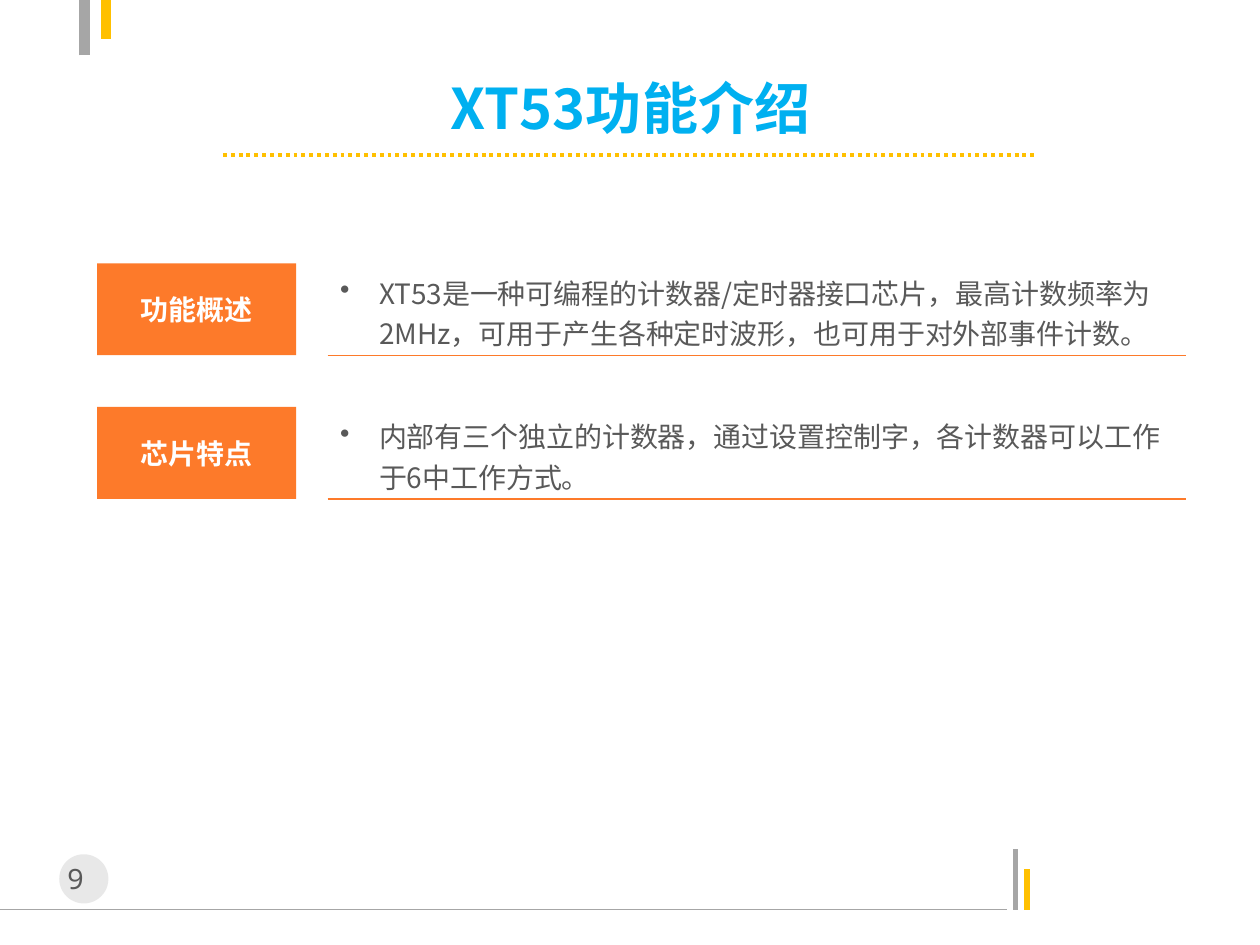
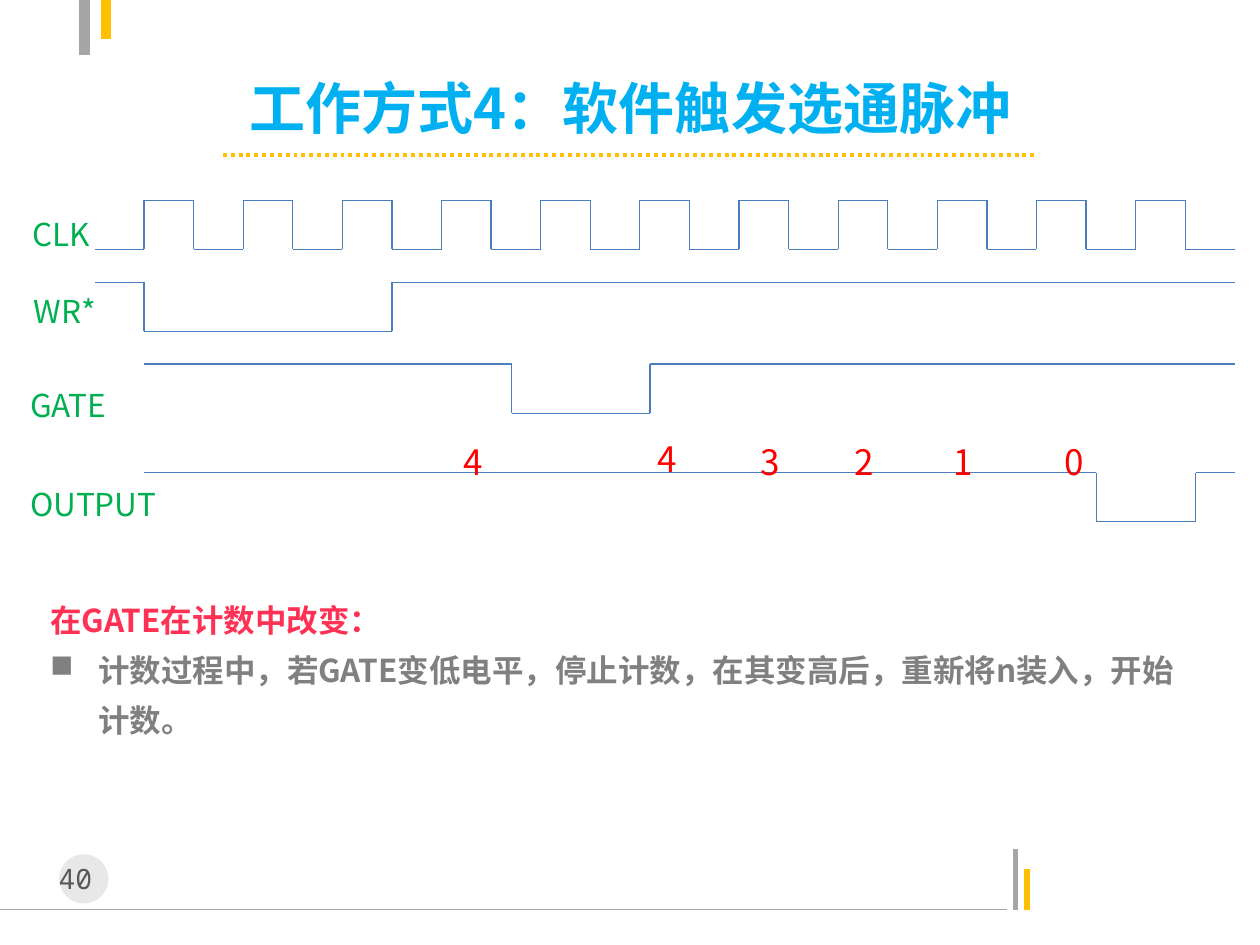
"""Build two slides on the XT53 timer chip: its features and its mode 4 timing."""
import itertools

import lxml.etree
import pptx
import pptx.dml.color
import pptx.enum.dml
import pptx.enum.shapes
import pptx.enum.text
import pptx.oxml.ns
import pptx.util

Inches = pptx.util.Inches
Pt = pptx.util.Pt
ALIGN = pptx.enum.text.PP_ALIGN
ANCHOR = pptx.enum.text.MSO_ANCHOR
FIT = pptx.enum.text.MSO_AUTO_SIZE
SHAPE = pptx.enum.shapes.MSO_SHAPE
DOTS = pptx.enum.dml.MSO_LINE.ROUND_DOT

SANS = "Noto Sans CJK SC"
MONO = "Noto Sans Mono"
GRAY, GOLD, ORANGE, BLUE = "A6A6A6", "FFC000", "FD7A2A", "4B7EBC"

TITLE = {"size": Pt(32), "bold": True, "name": SANS, "color": "00B0F0"}
PAGE = {"size": Pt(16), "bold": False, "name": MONO, "color": "595959"}
TAG = {"size": Pt(16), "bold": True, "name": SANS, "color": "FFFFFF"}
BODY = {"size": Pt(16), "bold": False, "name": SANS, "color": "595959"}
SIGNAL = {"size": Pt(18), "bold": False, "name": SANS, "color": "00B050"}
COUNT = {"size": Pt(20), "bold": False, "name": SANS, "color": "FF0000"}
HEAD = {"size": Pt(18), "bold": True, "name": SANS, "color": "FF3255"}
NOTE = {**HEAD, "color": "808080"}

FRAME_LINES = [
    (0, 7.22, 7.99, 7.22, GRAY, 0.75),
    (8.06, 7.22, 8.06, 6.74, GRAY, 3),
    (8.15, 7.22, 8.15, 6.9, GOLD, 3),
    (0.67, 0.44, 0.67, 0, GRAY, 6),
    (0.84, 0, 0.84, 0.31, GOLD, 6),
]
START, END, CYCLES = 0.75, 9.8, 23
PULSE = 0.39


def rgb(code):
    return pptx.dml.color.RGBColor.from_string(code)


def add_tag(parent, name, **values):
    node = lxml.etree.SubElement(parent, pptx.oxml.ns.qn(name))
    for key, value in values.items():
        node.set(key, str(value))
    return node


def set_font(run, style):
    for key, value in style.items():
        if key == "color":
            run.font.color.rgb = rgb(value)
        else:
            setattr(run.font, key, value)
    add_tag(run.font._element, "a:ea", typeface=style["name"])


def write(para, text, style, align=ALIGN.LEFT, space=1.0, bullet=None, indent=0):
    if bullet:
        props = para._p.get_or_add_pPr()
        props.set("marL", str(Inches(indent)))
        props.set("indent", str(-Inches(indent)))
        add_tag(props, "a:buChar", char=bullet)
    para.alignment = align
    para.line_spacing = space
    run = para.add_run()
    run.text = text
    set_font(run, style)


def add_line(slide, x1, y1, x2, y2, color, width, dash=None):
    ends = [Inches(v) for v in (x1, y1, x2, y2)]
    link = slide.shapes.add_connector(pptx.enum.shapes.MSO_CONNECTOR.STRAIGHT, *ends)
    link.line.color.rgb = rgb(color)
    link.line.width = Pt(width)
    if dash:
        link.line.dash_style = dash
    add_tag(link._element.spPr, "a:effectLst")


def add_block(slide, kind, box, color):
    block = slide.shapes.add_shape(kind, *[Inches(v) for v in box])
    block.shadow.inherit = False
    block.fill.solid()
    block.fill.fore_color.rgb = rgb(color)
    block.line.fill.background()
    return block


def add_text(slide, box, text, style, **look):
    frame = slide.shapes.add_textbox(*[Inches(v) for v in box]).text_frame
    frame.word_wrap = True
    frame.auto_size = FIT.SHAPE_TO_FIT_TEXT
    write(frame.paragraphs[0], text, style, **look)
    return frame


def add_title(slide, text):
    title = slide.shapes.title
    place = {"left": 1.38, "top": 0.6, "width": 7.25, "height": 0.5}
    for key, value in place.items():
        setattr(title, key, Inches(value))
    frame = title.text_frame
    look = {"word_wrap": False, "auto_size": FIT.NONE, "vertical_anchor": ANCHOR.MIDDLE}
    for key, value in look.items():
        setattr(frame, key, value)
    write(frame.paragraphs[0], text, TITLE, ALIGN.CENTER)
    add_line(slide, 1.77, 1.23, 8.23, 1.23, GOLD, 2.25, DOTS)


def add_slide(deck, title, number):
    slide = deck.slides.add_slide(deck.slide_layouts[5])
    for line in FRAME_LINES:
        add_line(slide, *line)
    disc = add_block(slide, SHAPE.OVAL, (0.47, 6.78, 0.39, 0.39), "BFBFBF")
    tint = disc.fill._xPr.find(".//" + pptx.oxml.ns.qn("a:srgbClr"))
    add_tag(tint, "a:alpha", val=35000)
    add_text(slide, (0.31, 6.79, 0.71, 0.37), f"{number} ", PAGE, align=ALIGN.CENTER)
    add_title(slide, title)
    return slide


def add_point(slide, top, label, text):
    block = add_block(slide, SHAPE.RECTANGLE, (0.77, top, 1.58, 0.73), ORANGE)
    block.text_frame.vertical_anchor = ANCHOR.MIDDLE
    write(block.text_frame.paragraphs[0], label, TAG, ALIGN.CENTER)
    add_text(slide, (2.6, top, 6.81, 0.75), text, BODY, space=1.2, bullet="•", indent=0.31)
    base = top + 0.73
    add_line(slide, 2.6, base, 9.41, base, ORANGE, 0.75)


def add_wave(slide, edges, high, level):
    """Draw a signal that flips between high (0) and low (1) at each inner edge."""
    spots = []
    for left, right in itertools.pairwise(edges):
        y = high + PULSE * level
        spots += [(left, y), (right, y)]
        level = 1 - level
    for first, second in itertools.pairwise(spots):
        add_line(slide, *first, *second, BLUE, 0.75)


def main():
    deck = pptx.Presentation()
    deck.slide_width, deck.slide_height = Inches(10), Inches(7.5)

    chip = add_slide(deck, "XT53功能介绍", 9)
    add_point(chip, 2.09, "功能概述",
              "XT53是一种可编程的计数器/定时器接口芯片，最高计数频率为2MHz，"
              "可用于产生各种定时波形，也可用于对外部事件计数。")
    add_point(chip, 3.23, "芯片特点",
              "内部有三个独立的计数器，通过设置控制字，各计数器可以工作于6中工作方式。")

    mode = add_slide(deck, "工作方式4：软件触发选通脉冲", 40)
    step = (END - START) / CYCLES
    clock = [START + step * i for i in range(CYCLES + 1)]
    add_wave(mode, clock, 1.59, 1)
    add_wave(mode, [START, clock[1], clock[6], END], 2.24, 0)
    add_wave(mode, [clock[1], 4.06, 5.16, END], 2.89, 0)
    add_wave(mode, [clock[1], 8.7, 9.49, END], 3.75, 0)

    signals = [("CLK", 0.16, 1.57, 0.84), ("WR*", 0.17, 2.18, 0.84),
               ("GATE", 0.14, 2.93, 1.38), ("OUTPUT", 0.14, 3.71, 1.38)]
    for name, left, top, width in signals:
        add_text(mode, (left, top, width, 0.45), name, SIGNAL, space=1.29)

    counts = [("4", 3.58, 3.35), ("4", 5.12, 3.33), ("3", 5.94, 3.35),
              ("2", 6.68, 3.35), ("1", 7.47, 3.35), ("0", 8.35, 3.35)]
    for digit, left, top in counts:
        add_text(mode, (left, top, 0.35, 0.49), digit, COUNT, space=1.29)

    frame = add_text(mode, (0.3, 4.62, 9.35, 1.31), "在GATE在计数中改变：", HEAD, space=1.33)
    write(frame.add_paragraph(),
          "计数过程中，若GATE变低电平，停止计数，在其变高后，重新将n装入，开始计数。",
          NOTE, space=1.33, bullet="■", indent=0.38)

    deck.save("out.pptx")


if __name__ == "__main__":
    main()
